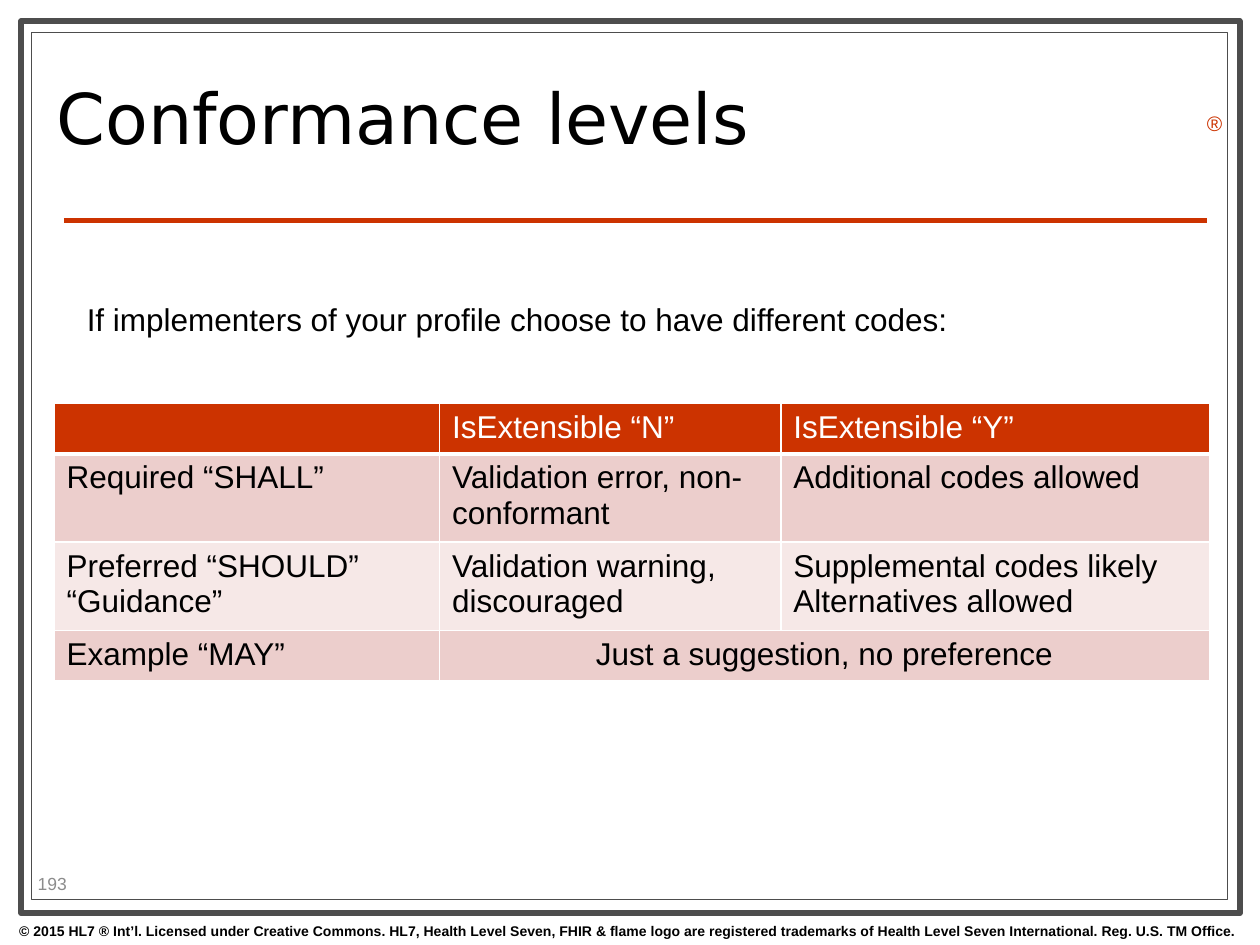
from lxml.etree import SubElement as Sub
from pptx import Presentation
from pptx.dml.color import RGBColor as Rgb
from pptx.enum.shapes import MSO_CONNECTOR as Conn, MSO_SHAPE as Shape
from pptx.enum.text import MSO_ANCHOR as Anchor, PP_ALIGN as Align
from pptx.oxml.ns import qn
from pptx.util import Cm, Pt

HUES = {"white": "FFFFFF", "black": "000000", "frame": "4D4D4D", "red": "CC3300",
        "rose": "ECCECC", "pale": "F6E8E7", "gray": "8C8C8C"}


def style(frame, size, hue, face="Arial", bold=False, align=Align.LEFT):
    for para in frame.paragraphs:
        para.alignment = align
        for run in para.runs:
            font = run.font
            font.name, font.size, font.bold = face, Pt(size), bold
            font.color.rgb = Rgb.from_string(HUES[hue])


def label(text, left, top, width, height, wrap=True, anchor=Anchor.TOP):
    box = slide.shapes.add_textbox(Cm(left), Cm(top), Cm(width), Cm(height))
    frame = box.text_frame
    frame.word_wrap, frame.vertical_anchor = wrap, anchor
    frame.text = text
    return frame


deck = Presentation()
deck.slide_width, deck.slide_height = Cm(25.4), Cm(19.05)
slide = deck.slides.add_slide(deck.slide_layouts[6])

for left, top, width, height, line in [(0.43, 0.43, 24.56, 17.98, 3.5),
                                       (0.64, 0.66, 24.1, 17.48, 0.75)]:
    rect = slide.shapes.add_shape(Shape.RECTANGLE, Cm(left), Cm(top), Cm(width), Cm(height))
    rect.shadow.inherit = False
    rect.fill.solid()
    rect.fill.fore_color.rgb = Rgb.from_string(HUES["white"])
    rect.line.color.rgb = Rgb.from_string(HUES["frame"])
    rect.line.width = Pt(line)

rule = slide.shapes.add_connector(Conn.STRAIGHT, Cm(1.29), Cm(4.45), Cm(24.33), Cm(4.45))
rule.line.color.rgb = Rgb.from_string(HUES["red"])
rule.line.width = Pt(3)
Sub(rule.element.spPr, qn("a:effectLst"))

legal = label("© 2015 HL7 ® Int’l. Licensed under Creative Commons. HL7, Health Level Seven, "
              "FHIR & flame logo are registered trademarks of Health Level Seven "
              "International. Reg. U.S. TM Office.", -0.03, 18.47, 25.4, 0.58)
style(legal, 8, "black", bold=True, align=Align.CENTER)

mark = label("®", 24.08, 2.11, 0.79, 0.76)
style(mark, 12, "red")

title = label("Conformance levels", 0.89, 0.91, 18.21, 3.2, anchor=Anchor.MIDDLE)
title.paragraphs[0].line_spacing = 0.8
style(title, 40, "black", face="DejaVu Sans")

rows = [["", "IsExtensible “N”", "IsExtensible “Y”"],
        ["Required “SHALL”", "Validation error, non-conformant", "Additional codes allowed"],
        ["Preferred “SHOULD”\n“Guidance”", "Validation warning, discouraged",
         "Supplemental codes likely\nAlternatives allowed"],
        ["Example “MAY”", "Just a suggestion, no preference", ""]]
fills = ["red", "rose", "pale", "rose"]
wide = [7.77, 6.88, 8.64]
tall = [1.02, 1.67, 1.67, 1.02]

grid = slide.shapes.add_table(4, 3, Cm(1.09), Cm(8.13), Cm(sum(wide)), Cm(sum(tall))).table
for col, width in zip(grid.columns, wide):
    col.width = Cm(width)
for row, height in zip(grid.rows, tall):
    row.height = Cm(height)
grid.cell(3, 1).merge(grid.cell(3, 2))

for r, texts in enumerate(rows):
    for c, text in enumerate(texts):
        cell = grid.cell(r, c)
        cell.text_frame.text = text
        align = Align.CENTER if (r, c) == (3, 1) else Align.LEFT
        style(cell.text_frame, 18, "black" if r else "white", align=align)
        if not text:
            cell.text_frame.paragraphs[0].font.size = Pt(18)
        props = cell._tc.get_or_add_tcPr()
        for side in ("lnL", "lnR", "lnT", "lnB"):
            thick = 3 if r == 0 and side == "lnB" else 1
            edge = Sub(props, qn(f"a:{side}"), w=str(Pt(thick)))
            Sub(Sub(edge, qn("a:solidFill")), qn("a:srgbClr"), val=HUES["white"])
        cell.fill.solid()
        cell.fill.fore_color.rgb = Rgb.from_string(HUES[fills[r]])

page = label("193", 0.51, 17.5, 2.01, 0.61, anchor=Anchor.MIDDLE)
style(page, 10, "gray")

lead = label("If implementers of your profile choose to have different codes:",
             1.5, 5.92, 18.03, 1.02, wrap=False)
style(lead, 18, "black")

deck.save("out.pptx")
